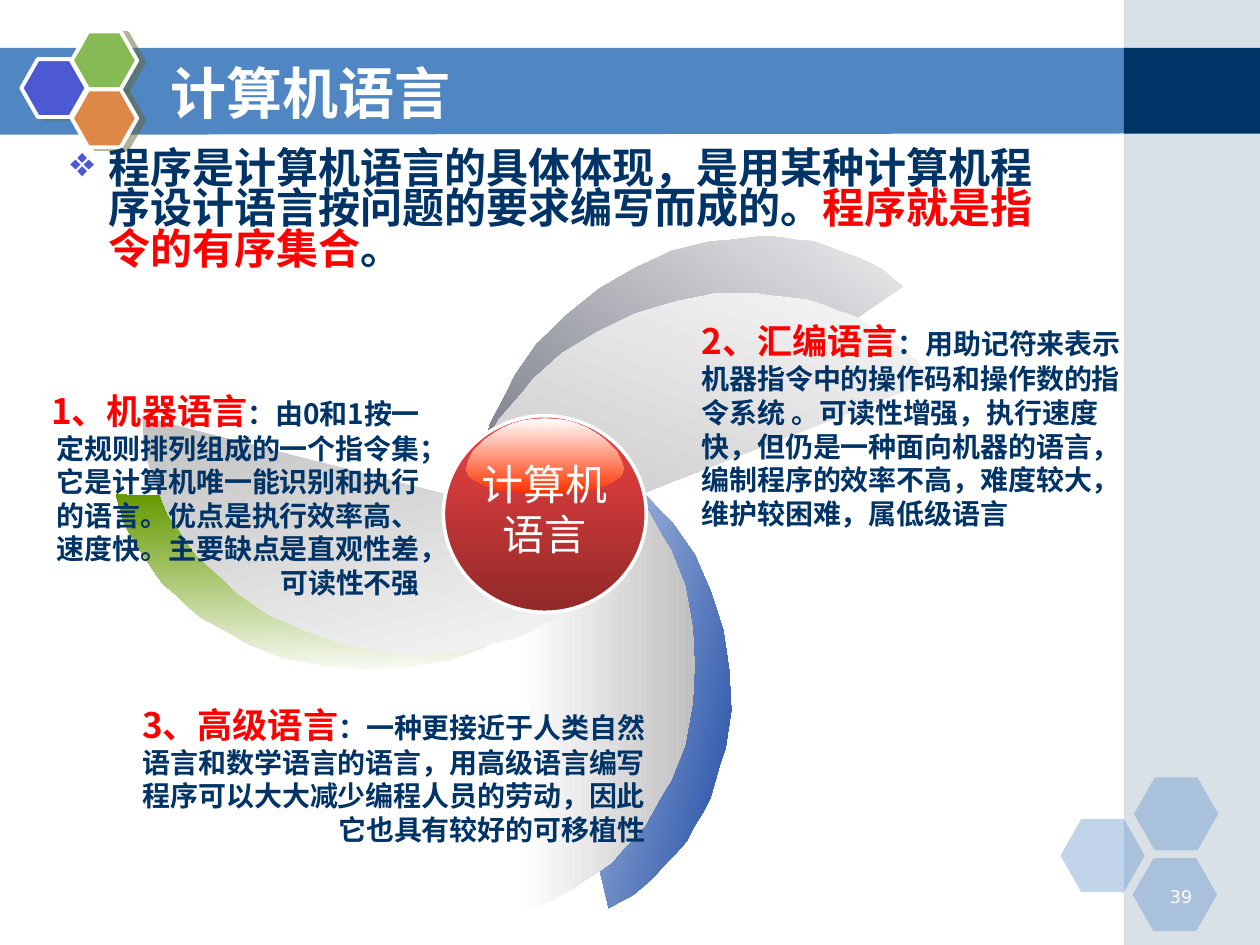
from typing import NamedTuple

from lxml.etree import SubElement
from pptx import Presentation
from pptx.dml.color import RGBColor
from pptx.enum.lang import MSO_LANGUAGE_ID
from pptx.enum.shapes import MSO_SHAPE
from pptx.enum.text import MSO_ANCHOR, MSO_AUTO_SIZE, PP_ALIGN
from pptx.oxml.ns import qn
from pptx.util import Pt

WHITE = RGBColor(0xFF, 0xFF, 0xFF)
NAVY = RGBColor(0x00, 0x33, 0x66)
RED = RGBColor(0xFF, 0x00, 0x00)
BAND = RGBColor(0x50, 0x86, 0xC2)
SIDE = RGBColor(0xA0, 0xB5, 0xC4)
INDIGO = RGBColor(0x4C, 0x59, 0xD2)
LEAF = RGBColor(0x85, 0xBA, 0x54)
ORANGE = RGBColor(0xDE, 0x88, 0x48)
BLUE = RGBColor(0x00, 0x33, 0x99)
GREEN = RGBColor(0x66, 0x99, 0x00)
SLATE = RGBColor(0x56, 0x58, 0x68)
SILVER = RGBColor(0xC0, 0xC0, 0xC0)
BALL_TOP = RGBColor(0xF1, 0x43, 0x43)
BALL_LOW = RGBColor(0x92, 0x29, 0x29)
GLOW = RGBColor(0xFF, 0x33, 0x00)
FONT = "Noto Sans CJK SC"
DOWN = 270  # counter-clockwise angle of a top-to-bottom gradient


class Box(NamedTuple):
    x: float
    y: float
    w: float
    h: float


class Petal(NamedTuple):
    box: Box
    turn: float
    tint: RGBColor


class Note(NamedTuple):
    box: Box
    align: PP_ALIGN
    head: str
    body: str


# Upper half of a petal's arc; the lower half mirrors it
ARC = [(0, 0), (7, 2), (15, 4), (23, 8), (30, 12), (37, 17), (45, 22),
       (52, 27), (58, 34), (65, 41), (71, 48), (76, 57), (81, 66), (86, 74),
       (90, 84), (94, 94), (96, 105), (98, 116), (99, 127), (100, 139.7)]
# Right half of the gloss on the ball; the left half mirrors it
GLOSS = [(0, 0), (7, 0.5), (13, 1.5), (18, 3), (24, 5.5), (29, 8.5), (34, 12),
         (37, 15), (41, 19), (43.5, 24), (45, 29), (43.5, 33), (39, 36),
         (33, 39), (25, 41), (16, 42), (9, 42.5)]

PETALS = [
    Petal(Box(314.6, 231.8, 100, 279.4), 346.8, BLUE),
    Petal(Box(160.6, 190.1, 97.2, 287.5), 91, GREEN),
    Petal(Box(321.1, 61.2, 97.2, 288), 235.5, SLATE),
    Petal(Box(297.4, 240.5, 100, 279.4), 0, SILVER),
    Petal(Box(160.6, 177.1, 97.2, 288), 104.3, SILVER),
    Petal(Box(331.9, 80.6, 97.2, 288), 248.7, SILVER),
]
NOTES = [
    Note(Box(14.4, 218.9, 232.6, 127.4), PP_ALIGN.RIGHT, "1、机器语言",
         "：由0和1按一定规则排列组成的一个指令集；它是计算机唯一能识别和执行的语言。"
         "优点是执行效率高、速度快。主要缺点是直观性差，可读性不强"),
    Note(Box(393.8, 179.3, 254.9, 127.4), PP_ALIGN.LEFT, "2、汇编语言",
         "：用助记符来表示机器指令中的操作码和操作数的指令系统 。可读性增强，执行速度快，"
         "但仍是一种面向机器的语言，编制程序的效率不高，难度较大，维护较困难，属低级语言"),
    Note(Box(70.6, 398.2, 305.3, 89.3), PP_ALIGN.RIGHT, "3、高级语言",
         "：一种更接近于人类自然语言和数学语言的语言，用高级语言编写程序可以大大减少"
         "编程人员的劳动，因此它也具有较好的可移植性"),
]

deck = Presentation()
deck.slide_width, deck.slide_height = Pt(720), Pt(540)
slide = deck.slides.add_slide(deck.slide_layouts[5])
shapes = slide.shapes


def place(shape, box: Box) -> None:
    shape.left, shape.top, shape.width, shape.height = map(Pt, box)


def add_flat(kind: MSO_SHAPE, box: Box, tint: RGBColor, alpha: int = 100):
    shape = shapes.add_shape(kind, *map(Pt, box))
    shape.shadow.inherit = False
    shape.fill.solid()
    shape.fill.fore_color.rgb = tint
    shape.line.fill.background()
    if alpha < 100:
        clr = shape.fill._xPr.find(qn("a:solidFill"))[0]
        SubElement(clr, qn("a:alpha")).set("val", str(alpha * 1000))
    return shape


def add_free(dots: list):
    pts = [(Pt(x), Pt(y)) for x, y in dots]
    pen = shapes.build_freeform(*pts[0])
    pen.add_line_segments(pts[1:], close=True)
    shape = pen.convert_to_shape()
    shape.shadow.inherit = False
    shape.line.fill.background()
    return shape


def shade(shape, first: RGBColor, last: RGBColor, angle: float) -> None:
    """Gradient whose angle stays fixed when the shape is turned."""
    shape.fill.gradient()
    shape.fill.gradient_angle = angle
    for stop, tint in zip(shape.fill.gradient_stops, (first, last)):
        stop.color.rgb = tint
    shape._element.spPr.find(qn("a:gradFill")).set("rotWithShape", "0")


def add_hex(box: Box, tint: RGBColor, alpha: int = 100):
    shape = add_flat(MSO_SHAPE.HEXAGON, box, tint, alpha)
    shape.adjustments[0] = 0.285
    return shape


def add_run(para, text: str, size: float, tint: RGBColor,
            bold: bool = False, face: str = FONT) -> None:
    run = para.add_run()
    run.text = text
    font = run.font
    font.size, font.bold, font.name = Pt(size), bold, face
    font.color.rgb = tint
    font.language_id = MSO_LANGUAGE_ID.SIMPLIFIED_CHINESE
    SubElement(run._r.get_or_add_rPr(), qn("a:ea")).set("typeface", face)


def add_box(box: Box, align: PP_ALIGN = PP_ALIGN.LEFT):
    frame = shapes.add_textbox(*map(Pt, box)).text_frame
    frame.word_wrap = True
    frame.paragraphs[0].alignment = align
    return frame


# Title band and side panel
add_free([(-0.7, 27.4), (644.4, 27.4), (644.4, 76.3), (-0.7, 77)])
band = shapes[-1]
band.fill.solid()
band.fill.fore_color.rgb = BAND
add_flat(MSO_SHAPE.RECTANGLE, Box(642.2, 0, 77.8, 540), SIDE, 40)
add_flat(MSO_SHAPE.RECTANGLE, Box(642.2, 27.4, 77.8, 49), NAVY)

# Pale hexagons in the corner
for x, y in ((606, 468), (648, 444.2), (647.3, 490.3)):
    add_hex(Box(x, y, 48.2, 41.8), BAND, 35)

# Bright hexagons beside the title
for x, y, tint in ((12.2, 33.8, INDIGO), (41, 18, LEAF), (41, 51.1, ORANGE)):
    cell = add_hex(Box(x, y, 37.4, 33.1), tint)
    cell.line.color.rgb = WHITE
    cell.line.width = Pt(2.25)
    glow = SubElement(cell._element.spPr.find(qn("a:effectLst")),
                      qn("a:outerShdw"), blurRad="0", dist=str(Pt(4.1)),
                      dir=str(14 * 60000), algn="ctr", rotWithShape="0")
    clr = SubElement(glow, qn("a:srgbClr"), val="666633")
    SubElement(clr, qn("a:alpha"), val="50000")

# Page number
page = add_box(Box(652.3, 502.6, 36, 18), PP_ALIGN.RIGHT)
add_run(page.paragraphs[0], "39", 10, WHITE, face="DejaVu Sans")

# Title, lifted above the band
title = shapes.title
shapes._spTree.append(title._element)
place(title, Box(90, 30.2, 527.8, 44.6))
frame = title.text_frame
frame.auto_size = MSO_AUTO_SIZE.NONE
frame.vertical_anchor = MSO_ANCHOR.MIDDLE
frame.paragraphs[0].alignment = PP_ALIGN.LEFT
add_run(frame.paragraphs[0], "计算机语言", 32, WHITE, True)

# Lead paragraph with its bullet
lead = add_box(Box(33.1, 82.8, 569.5, 85)).paragraphs[0]
props = lead._p.get_or_add_pPr()
props.set("marL", str(Pt(21.6)))
props.set("indent", str(Pt(-21.6)))
SubElement(SubElement(props, qn("a:buClr")), qn("a:srgbClr"), val=str(INDIGO))
SubElement(props, qn("a:buChar"), char="❖")
lead.line_spacing = 0.8
for text, tint in (
        ("程序是计算机语言的具体体现，是用某种计算机程序设计语言按问题的要求编写而成的。", NAVY),
        ("程序就是指令的有序集合", RED), ("。", NAVY)):
    add_run(lead, text, 24, tint, True)

# Petals around the ball
outline = ARC + [(x, 279.4 - y) for x, y in ARC[-2::-1]]
for petal in PETALS:
    leaf = add_free(outline)
    place(leaf, petal.box)
    leaf.rotation = petal.turn
    shade(leaf, WHITE, petal.tint, petal.turn)

# Ball with gloss and label
ball = add_flat(MSO_SHAPE.OVAL, Box(253.4, 237.6, 115.9, 112.3), BALL_TOP)
shade(ball, BALL_TOP, BALL_LOW, DOWN)
ball.line.color.rgb = WHITE
ball.line.width = Pt(2)
half = [(311.4 + x, 239 + y) for x, y in GLOSS]
shine = add_free(half + [(622.8 - x, y) for x, y in half[:0:-1]])
shade(shine, WHITE, GLOW, DOWN)
label = add_box(Box(267.8, 258.5, 86.4, 64.8), PP_ALIGN.CENTER)
label.word_wrap = False
label.auto_size = MSO_AUTO_SIZE.SHAPE_TO_FIT_TEXT
add_run(label.paragraphs[0], "计算机", 24, WHITE)
line = label.add_paragraph()
line.alignment = PP_ALIGN.CENTER
add_run(line, "语言", 24, WHITE)

# Notes on the three kinds of language
for note in NOTES:
    frame = add_box(note.box, note.align)
    frame.auto_size = MSO_AUTO_SIZE.SHAPE_TO_FIT_TEXT
    add_run(frame.paragraphs[0], note.head, 20, RED, True)
    add_run(frame.paragraphs[0], note.body, 16, NAVY, True)

deck.save("out.pptx")
